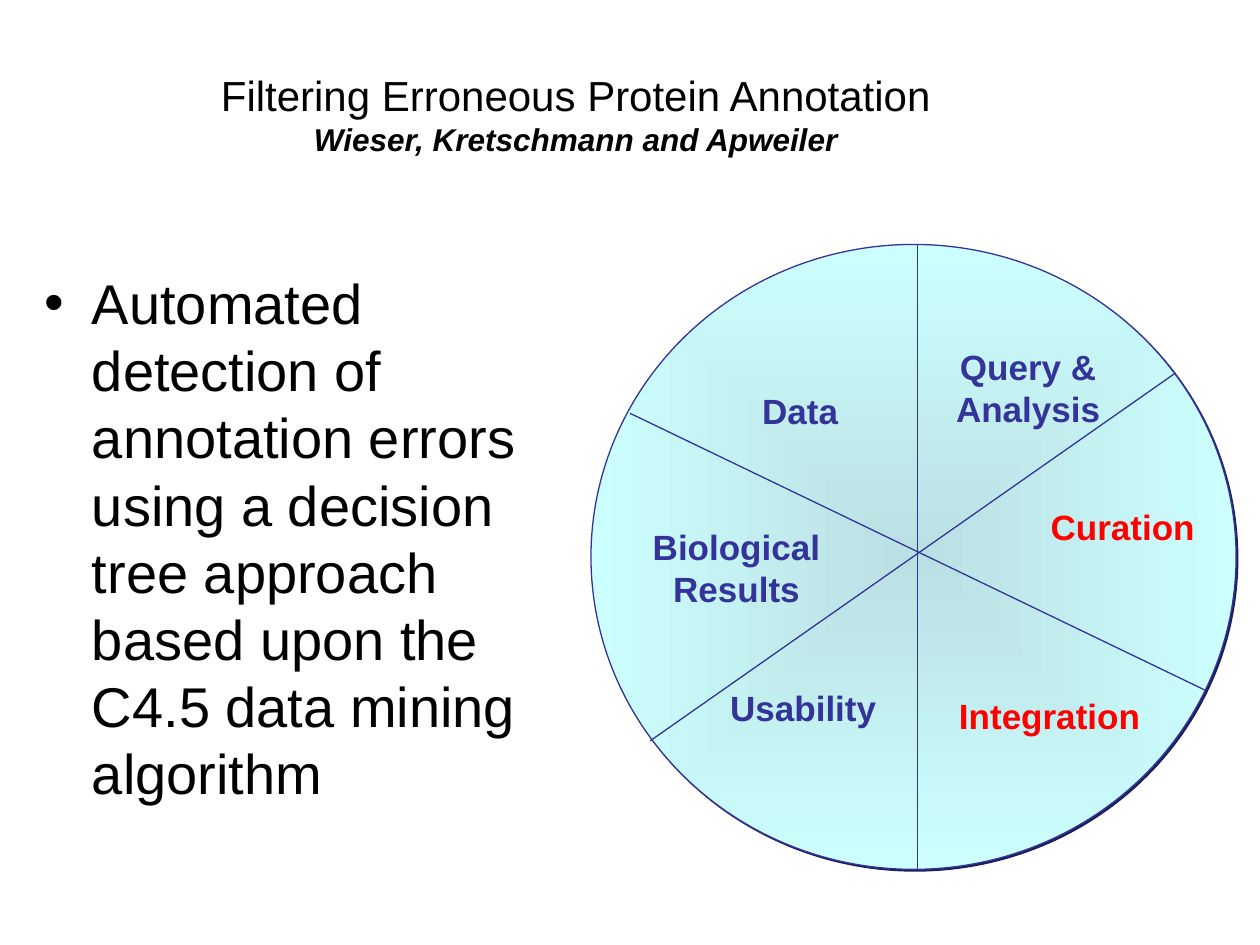
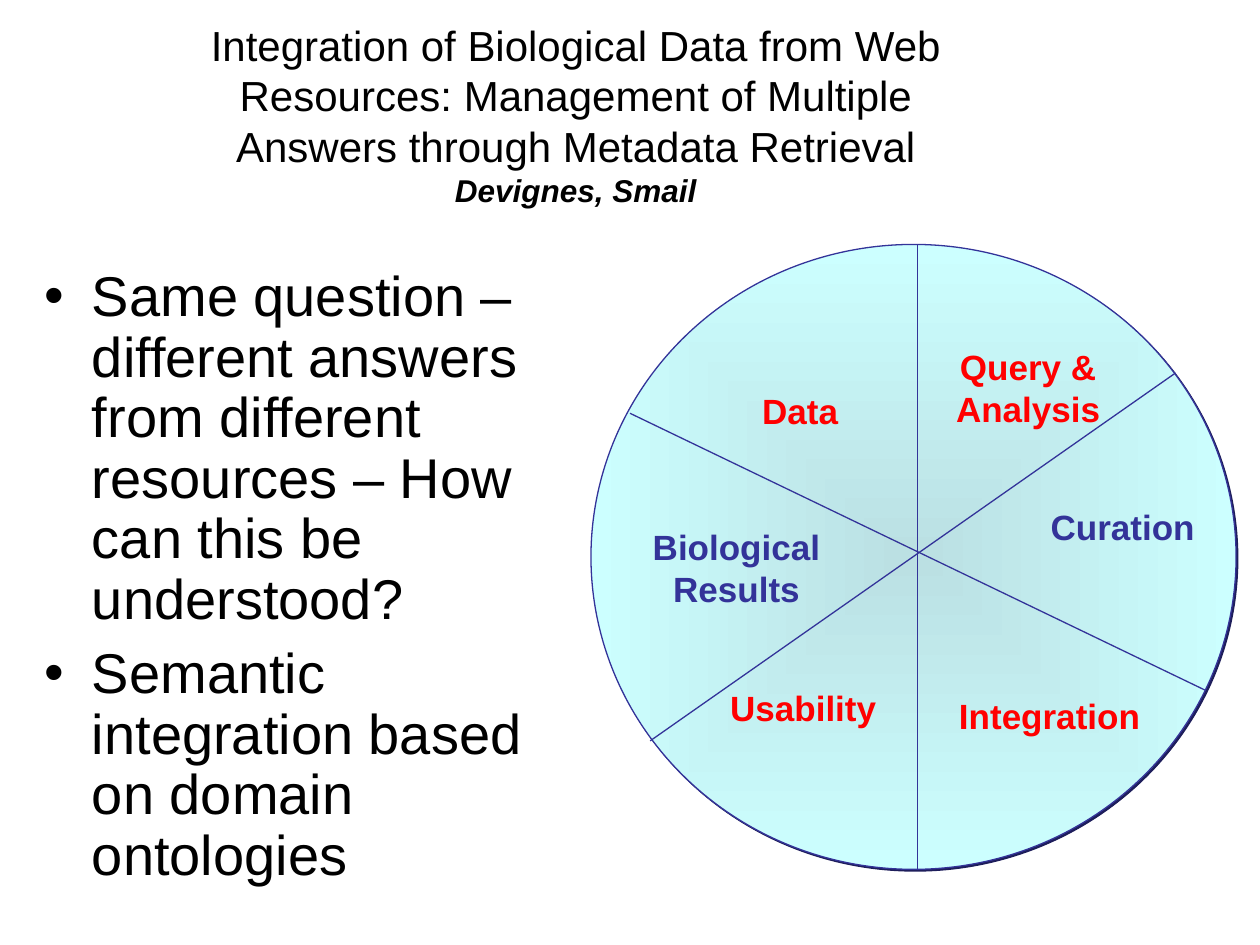
from copy import deepcopy
from dataclasses import dataclass

from lxml.etree import SubElement
from pptx import Presentation
from pptx.dml.color import RGBColor as RGB
from pptx.enum.shapes import MSO_CONNECTOR as CONNECTOR, MSO_SHAPE as SHAPE
from pptx.enum.text import MSO_ANCHOR as ANCHOR, MSO_AUTO_SIZE as AUTO, PP_ALIGN as ALIGN
from pptx.oxml.ns import qn
from pptx.util import Inches, Pt


@dataclass(frozen=True)
class Theme:
    font: str = "Arial"
    ink: str = "000000"
    navy: str = "333399"
    highlight: str = "FF0000"
    wheel_centre: str = "BBE0E3"
    wheel_rim: str = "CCFFFF"
    wheel_shadow: str = "1E1E5B"
    title_size: int = 24
    author_size: int = 18
    body_size: int = 32
    label_size: int = 20
    line_width: float = 0.75


# Grid of 40 columns by 30 rows
COLUMNS, ROWS = 40, 30

TITLE_AREA = (5.84, 1.12, 24.88, 5)
BODY_AREA = (1, 8.32, 17.6, 21)
WHEEL_AREA = (18.76, 7.76, 20.48, 19.84)
SPOKES = [
    ((29.12, 7.76), (29.12, 27.6)),
    ((20, 13.12), (38.28, 21.92)),
    ((37.32, 11.84), (20.64, 23.52)),
]

# Topic lines, with the column of the centre and the row of the top
TOPICS = [
    (("Data",), 25.4, 12.16),
    (("Query &", "Analysis"), 32.64, 10.76),
    (("Biological", "Results"), 23.38, 16.48),
    (("Curation",), 35.64, 15.84),
    (("Usability",), 25.5, 21.6),
    (("Integration",), 33.32, 21.84),
]
LABEL_COLUMNS, LABEL_ROWS, EXTRA_LINE_ROWS = 7, 1.76, 1.32

PAPERS = [
    dict(
        title="Filtering Erroneous Protein Annotation",
        authors="Wieser, Kretschmann and Apweiler",
        points=["Automated detection of annotation errors using a decision tree "
                "approach based upon the C4.5 data mining algorithm"],
        spacing=1.0,
        covered={"Curation", "Integration"},
    ),
    dict(
        title="Integration of Biological Data from Web Resources: Management of "
              "Multiple Answers through Metadata Retrieval",
        authors="Devignes, Smail",
        points=["Same question – different answers from different resources – "
                "How can this be understood?",
                "Semantic integration based on domain ontologies"],
        spacing=0.9,
        covered={"Data", "Query &", "Usability", "Integration"},
    ),
]


class Deck:
    """Holds the theme and the current slide."""

    def __init__(self, theme):
        self.theme = theme
        self.prs = Presentation()
        self.prs.slide_width, self.prs.slide_height = Inches(10), Inches(7.5)
        self.slide = None

    def new_slide(self):
        self.slide = self.prs.slides.add_slide(self.prs.slide_layouts[1])

    def point(self, column, row):
        return (int(self.prs.slide_width * column / COLUMNS),
                int(self.prs.slide_height * row / ROWS))

    def box(self, column, row, columns, rows):
        return self.point(column, row) + self.point(columns, rows)

    def place(self, placeholder, area, anchor):
        (placeholder.left, placeholder.top,
         placeholder.width, placeholder.height) = self.box(*area)
        frame = placeholder.text_frame
        frame.auto_size, frame.vertical_anchor = AUTO.NONE, anchor
        return frame

    def run(self, paragraph, text, size, colour, bold=False, italic=False):
        run = paragraph.add_run()
        run.text = text
        font = run.font
        font.name, font.size = self.theme.font, Pt(size)
        font.bold, font.italic = bold, italic
        font.color.rgb = RGB.from_string(colour)
        return run

    def title(self, text, authors):
        frame = self.place(self.slide.shapes.title, TITLE_AREA, ANCHOR.MIDDLE)
        heading = frame.paragraphs[0]
        heading.alignment = ALIGN.CENTER
        paper = self.run(heading, text, self.theme.title_size, self.theme.ink)
        heading.add_line_break()
        # The break takes the type size of the line it ends
        heading._p.find(qn("a:br")).append(deepcopy(paper._r.rPr))
        self.run(heading, authors, self.theme.author_size, self.theme.ink, True, True)

    def bullets(self, points, spacing):
        frame = self.place(self.slide.placeholders[1], BODY_AREA, ANCHOR.TOP)
        for index, text in enumerate(points):
            point = frame.add_paragraph() if index else frame.paragraphs[0]
            point.line_spacing = spacing
            point.space_before = Pt(8 if index else 0)
            props = point._p.get_or_add_pPr()
            props.set("marL", str(Inches(0.38)))
            props.set("indent", str(-Inches(0.38)))
            colour = SubElement(props, qn("a:buClr"))
            SubElement(colour, qn("a:srgbClr"), val=self.theme.ink)
            SubElement(props, qn("a:buChar"), char="•")
            self.run(point, text, self.theme.body_size, self.theme.ink)

    def outline(self, shape):
        shape.line.color.rgb = RGB.from_string(self.theme.navy)
        shape.line.width = Pt(self.theme.line_width)

    def disc(self, group):
        disc = group.shapes.add_shape(SHAPE.OVAL, *self.box(*WHEEL_AREA))
        self.outline(disc)
        # Gradient from the centre to the rim
        disc.fill.gradient()
        shades = (self.theme.wheel_centre, self.theme.wheel_rim)
        for stop, shade in zip(disc.fill.gradient_stops, shades):
            stop.color.rgb = RGB.from_string(shade)
        props = disc._element.spPr
        gradient = props.find(qn("a:gradFill"))
        gradient.remove(gradient.find(qn("a:lin")))
        centre = SubElement(gradient, qn("a:path"), {"path": "rect"})
        SubElement(centre, qn("a:fillToRect"), dict.fromkeys("ltrb", "50000"))
        # Hard shadow to the lower right
        disc.shadow.inherit = False
        shadow = SubElement(props.find(qn("a:effectLst")), qn("a:outerShdw"),
                            dist=str(Pt(1.4)), dir="2700000", algn="ctr", rotWithShape="0")
        SubElement(shadow, qn("a:srgbClr"), val=self.theme.wheel_shadow)

    def spoke(self, group, start, end):
        spoke = group.shapes.add_connector(
            CONNECTOR.STRAIGHT, *self.point(*start), *self.point(*end))
        self.outline(spoke)
        SubElement(spoke._element.spPr, qn("a:effectLst"))

    def label(self, group, lines, centre, top, colour):
        rows = LABEL_ROWS + EXTRA_LINE_ROWS * (len(lines) - 1)
        area = self.box(centre - LABEL_COLUMNS / 2, top, LABEL_COLUMNS, rows)
        frame = group.shapes.add_textbox(*area).text_frame
        frame.word_wrap = True
        for index, text in enumerate(lines):
            line = frame.add_paragraph() if index else frame.paragraphs[0]
            line.alignment = ALIGN.CENTER
            self.run(line, text, self.theme.label_size, colour, bold=True)

    def wheel(self, covered):
        group = self.slide.shapes.add_group_shape()
        self.disc(group)
        for start, end in SPOKES:
            self.spoke(group, start, end)
        for lines, centre, top in TOPICS:
            colour = self.theme.highlight if lines[0] in covered else self.theme.navy
            self.label(group, lines, centre, top, colour)


def main():
    deck = Deck(Theme())
    for paper in PAPERS:
        deck.new_slide()
        deck.title(paper["title"], paper["authors"])
        deck.wheel(paper["covered"])
        deck.bullets(paper["points"], paper["spacing"])
    deck.prs.save("out.pptx")


if __name__ == "__main__":
    main()
